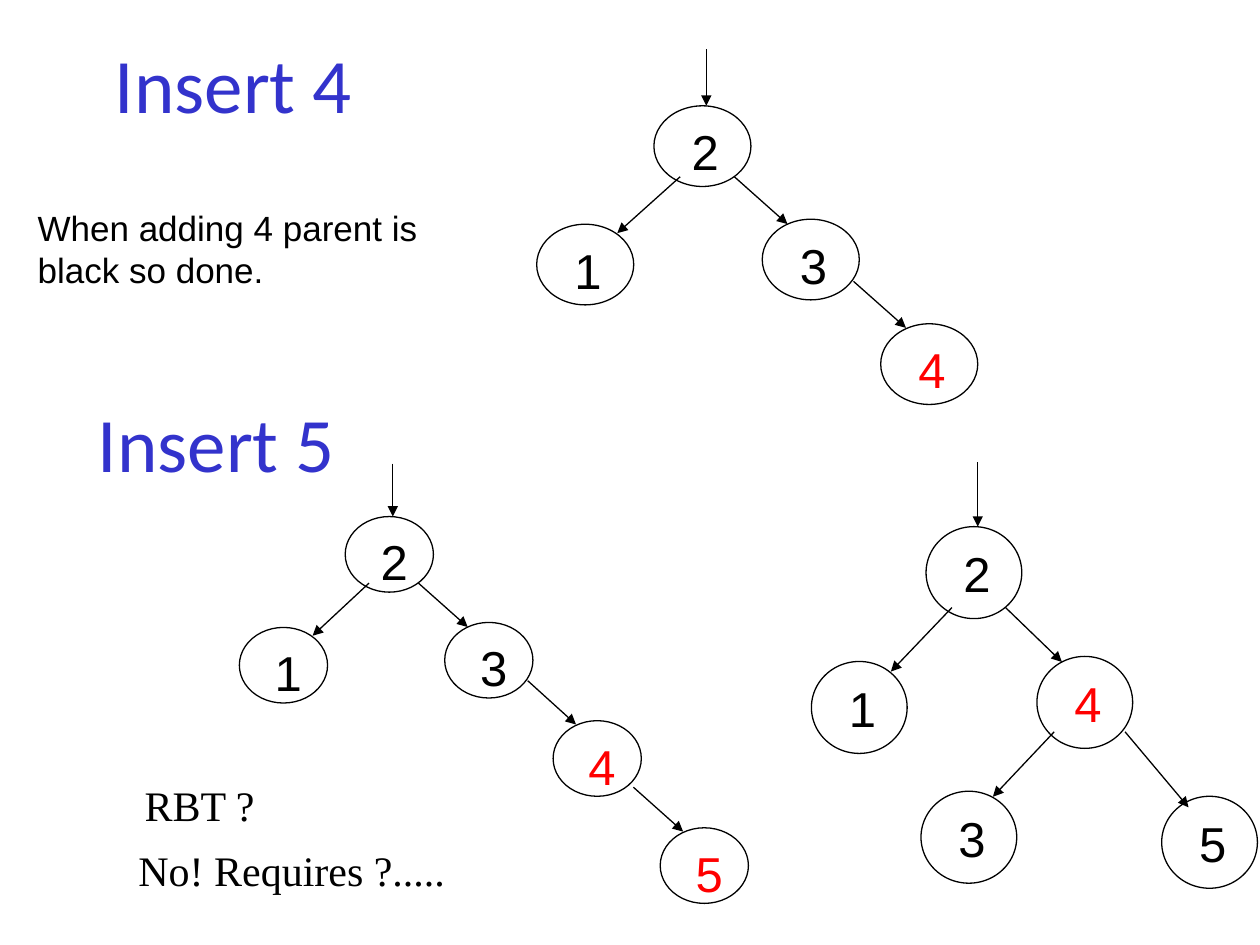
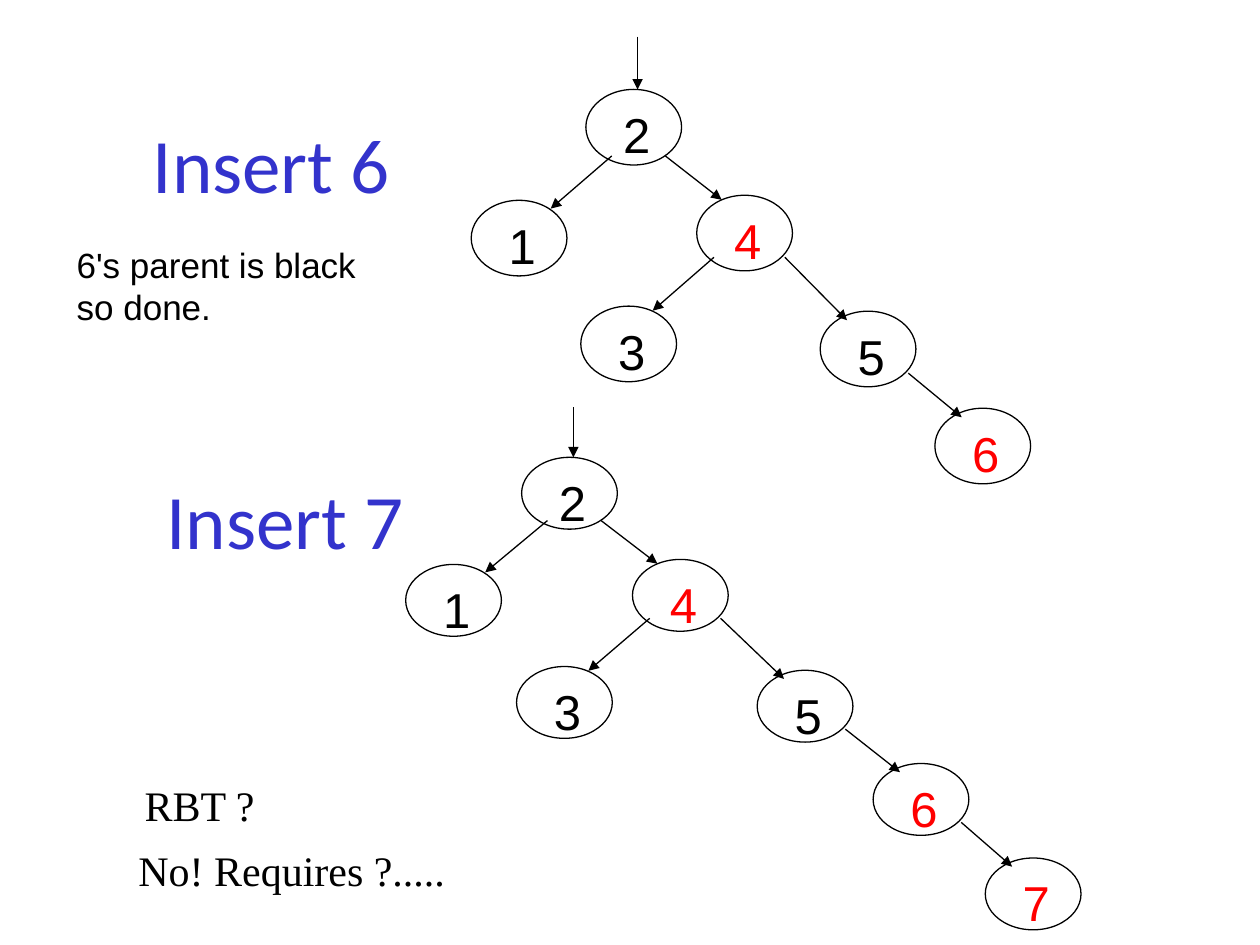
from dataclasses import dataclass
from typing import Optional

from lxml.etree import SubElement
from pptx import Presentation
from pptx.dml.color import RGBColor
from pptx.enum.shapes import MSO_CONNECTOR, MSO_SHAPE
from pptx.enum.text import MSO_ANCHOR, MSO_AUTO_SIZE, PP_ALIGN
from pptx.oxml.ns import qn
from pptx.util import Inches, Pt

COLORS = {"heading": "3333CC", "black": "000000", "red": "FF0000"}
HEADING_FORMAT = dict(font="Calibri", size=44, color="heading", align=PP_ALIGN.CENTER,
                      anchor=MSO_ANCHOR.MIDDLE, grow=False)


@dataclass(frozen=True)
class Link:
    start_x: float
    start_y: float
    end_x: float
    end_y: float


ROOT_LEFT = Link(0.27, 0.88, 0.83, 0.11)
ROOT_RIGHT = Link(0.83, 0.88, 0.26, 0.06)
INNER_LEFT = Link(0.18, 0.82, 0.75, 0.06)
INNER_RIGHT = Link(0.92, 0.82, 0.28, 0.12)
CHAIN_RIGHT = Link(0.94, 0.77, 0.26, 0.05)
CHAIN_END = Link(0.91, 0.88, 0.26, 0.05)


@dataclass(frozen=True)
class Node:
    key: int
    left: float
    top: float
    color: str = "black"
    parent: Optional[int] = None
    link: Optional[Link] = None


@dataclass(frozen=True)
class Tree:
    width: float
    height: float
    nodes: tuple[Node, ...]


@dataclass(frozen=True)
class Note:
    text: str
    left: float
    top: float
    width: float
    height: float
    font: str = "Arial"
    size: int = 20
    wrap: bool = True


@dataclass(frozen=True)
class Heading:
    text: str
    left: float
    top: float
    width: float
    height: float = 1.25


@dataclass(frozen=True)
class InsertSlide:
    title: Heading
    second_heading: Heading
    explanation: Note
    trees: tuple[Tree, ...]


QUESTIONS = (
    Note("RBT ?", 1.05, 6.14, 3.83, 0.5, "Times New Roman", 24),
    Note("No! Requires ?.....", 1, 6.65, 3.83, 0.51, "Times New Roman", 24),
)

INSERT_SLIDES = (
    InsertSlide(
        Heading("Insert 4", -0.56, 0.03, 4.83),
        Heading("Insert 5", -0.6, 2.88, 4.64),
        Note("When adding 4 parent is black so done.", 0.2, 1.59, 3.23, 0.77),
        (
            Tree(0.77, 0.64, (
                Node(2, 5.19, 0.84),
                Node(1, 4.26, 1.78, "black", 2, ROOT_LEFT),
                Node(3, 6.05, 1.74, "black", 2, ROOT_RIGHT),
                Node(4, 6.99, 2.57, "red", 3, CHAIN_RIGHT),
            )),
            Tree(0.7, 0.6, (
                Node(2, 2.74, 4.1),
                Node(1, 1.9, 4.98, "black", 2, ROOT_LEFT),
                Node(3, 3.53, 4.94, "black", 2, ROOT_RIGHT),
                Node(4, 4.39, 5.72, "red", 3, CHAIN_RIGHT),
                Node(5, 5.24, 6.57, "red", 4, CHAIN_END),
            )),
            Tree(0.76, 0.73, (
                Node(2, 7.35, 4.18),
                Node(1, 6.44, 5.25, "black", 2, ROOT_LEFT),
                Node(4, 8.23, 5.21, "red", 2, ROOT_RIGHT),
                Node(3, 7.31, 6.28, "black", 4, INNER_LEFT),
                Node(5, 9.22, 6.32, "black", 4, INNER_RIGHT),
            )),
        ),
    ),
    InsertSlide(
        Heading("Insert 6", 0.35, 0.67, 3.61),
        Heading("Insert 7", 0.46, 3.49, 3.61),
        Note("6's parent is black\nso done.", 0.51, 1.88, 2.44, 0.77, wrap=False),
        (
            Tree(0.76, 0.6, (
                Node(2, 4.65, 0.71),
                Node(1, 3.74, 1.59, "black", 2, ROOT_LEFT),
                Node(4, 5.53, 1.55, "red", 2, ROOT_RIGHT),
                Node(3, 4.61, 2.43, "black", 4, INNER_LEFT),
                Node(5, 6.51, 2.47, "black", 4, INNER_RIGHT),
                Node(6, 7.42, 3.24, "red", 5, INNER_RIGHT),
            )),
            Tree(0.76, 0.57, (
                Node(2, 4.14, 3.63),
                Node(1, 3.22, 4.48, "black", 2, ROOT_LEFT),
                Node(4, 5.02, 4.44, "red", 2, ROOT_RIGHT),
                Node(3, 4.1, 5.29, "black", 4, INNER_LEFT),
                Node(5, 6.01, 5.32, "black", 4, INNER_RIGHT),
                Node(6, 6.93, 6.06, "red", 5, INNER_RIGHT),
                Node(7, 7.82, 6.81, "red", 6, INNER_RIGHT),
            )),
        ),
    ),
)


def rgb(name: str) -> RGBColor:
    return RGBColor.from_string(COLORS[name])


def write_text(box, text: str, *, font: str = "Arial", size: int = 20, color: str = "black",
               align=PP_ALIGN.LEFT, anchor=MSO_ANCHOR.TOP, wrap: bool = True,
               grow: bool = True) -> None:
    frame = box.text_frame
    frame.word_wrap = wrap
    frame.auto_size = MSO_AUTO_SIZE.SHAPE_TO_FIT_TEXT if grow else MSO_AUTO_SIZE.NONE
    frame.vertical_anchor = anchor
    paragraph = frame.paragraphs[0]
    paragraph.alignment = align
    for index, line in enumerate(text.split("\n")):
        if index:
            paragraph.add_line_break()
        run = paragraph.add_run()
        run.text = line
        run.font.name = font
        run.font.size = Pt(size)
        run.font.color.rgb = rgb(color)


def add_box(shapes, left: float, top: float, width: float, height: float):
    return shapes.add_textbox(Inches(left), Inches(top), Inches(width), Inches(height))


def draw_arrow(shapes, start_x: float, start_y: float, end_x: float, end_y: float) -> None:
    arrow = shapes.add_connector(MSO_CONNECTOR.STRAIGHT, Inches(start_x), Inches(start_y),
                                 Inches(end_x), Inches(end_y))
    arrow.line.color.rgb = rgb("black")
    arrow.line.width = Pt(0.75)
    SubElement(arrow.line._get_or_add_ln(), qn("a:tailEnd"), type="triangle")
    SubElement(arrow._element.spPr, qn("a:effectLst"))


def draw_node(shapes, node: Node, width: float, height: float) -> None:
    circle = shapes.add_shape(MSO_SHAPE.OVAL, Inches(node.left), Inches(node.top),
                              Inches(width), Inches(height))
    circle.shadow.inherit = False
    circle.fill.background()
    circle.line.color.rgb = rgb("black")
    circle.line.width = Pt(0.75)
    label = add_box(shapes, node.left + 0.26 * width, node.top + 0.12 * height,
                    0.47 * width, 0.8 * height)
    write_text(label, str(node.key), size=28, color=node.color, wrap=False)


def draw_tree(slide, tree: Tree) -> None:
    shapes = slide.shapes.add_group_shape().shapes
    width, height = tree.width, tree.height
    by_key = {node.key: node for node in tree.nodes}
    for node in tree.nodes:
        draw_node(shapes, node, width, height)
        if node.link is None:
            entry_x = node.left + 0.54 * width
            draw_arrow(shapes, entry_x, node.top - 0.7 * height, entry_x, node.top)
        else:
            parent, link = by_key[node.parent], node.link
            draw_arrow(shapes, parent.left + link.start_x * width,
                       parent.top + link.start_y * height,
                       node.left + link.end_x * width, node.top + link.end_y * height)


def draw_note(slide, note: Note) -> None:
    box = add_box(slide.shapes, note.left, note.top, note.width, note.height)
    write_text(box, note.text, font=note.font, size=note.size, wrap=note.wrap)


def draw_slide(deck, content: InsertSlide) -> None:
    slide = deck.slides.add_slide(deck.slide_layouts[5])
    heading = content.title
    title = slide.shapes.title
    title.left, title.top = Inches(heading.left), Inches(heading.top)
    title.width, title.height = Inches(heading.width), Inches(heading.height)
    write_text(title, heading.text, **HEADING_FORMAT)

    second = content.second_heading
    box = add_box(slide.shapes, second.left, second.top, second.width, second.height)
    write_text(box, second.text, **HEADING_FORMAT)

    for tree in content.trees:
        draw_tree(slide, tree)
    for note in (content.explanation, *QUESTIONS):
        draw_note(slide, note)


def main() -> None:
    deck = Presentation()
    deck.slide_width, deck.slide_height = Inches(10), Inches(7.5)
    for content in INSERT_SLIDES:
        draw_slide(deck, content)
    deck.save("out.pptx")


if __name__ == "__main__":
    main()
